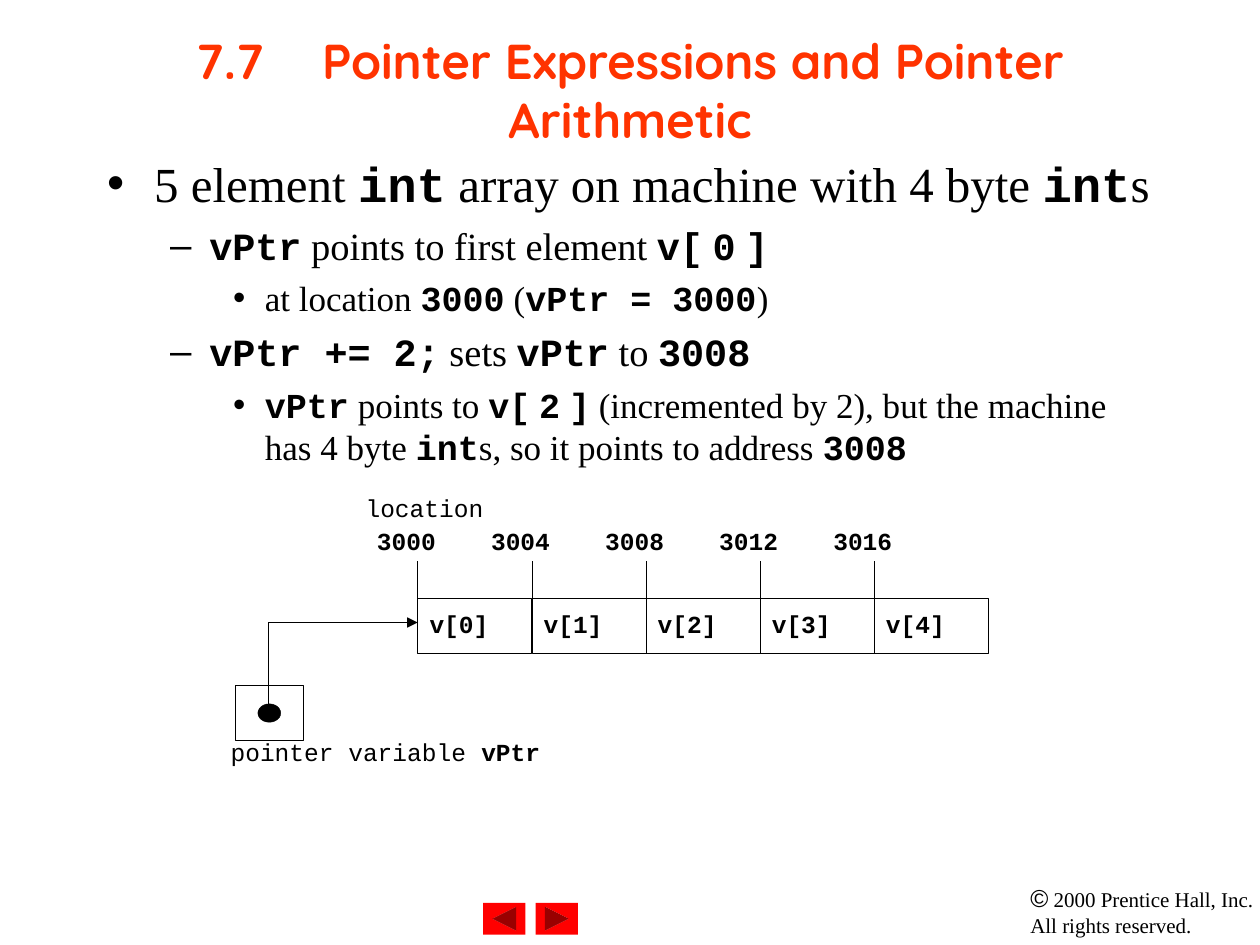
"""Build the slide on pointer expressions and pointer arithmetic."""
from lxml.etree import SubElement
from pptx import Presentation
from pptx.dml.color import RGBColor
from pptx.enum.shapes import MSO_CONNECTOR, MSO_SHAPE as SHAPE
from pptx.enum.text import MSO_ANCHOR, PP_ALIGN
from pptx.oxml.ns import qn
from pptx.util import Cm, Pt

BLACK = RGBColor(0x00, 0x00, 0x00)
RED = RGBColor(0xFF, 0x00, 0x00)
ORANGE = RGBColor(0xFF, 0x33, 0x00)
SERIF = "Times New Roman"
MONO = "Courier New"
SANS = "Arial"
HAIRLINE = Pt(0.25)


def write(paragraph, marked, size, plain_font=SERIF):
    """Add runs to a paragraph, with text between backticks as bold code."""
    for index, piece in enumerate(marked.split("`")):
        if piece:
            run = paragraph.add_run()
            run.text = piece
            run.font.size = Pt(size)
            run.font.bold = index % 2 == 1
            run.font.name = MONO if run.font.bold else plain_font
            run.font.color.rgb = BLACK


def add_label(left, top, width, marked):
    """Add a diagram label without insets."""
    frame = slide.shapes.add_textbox(Cm(left), Cm(top), Cm(width), Cm(0.8)).text_frame
    frame.margin_left = frame.margin_right = frame.margin_top = frame.margin_bottom = 0
    frame.word_wrap = True
    write(frame.paragraphs[0], marked, 14, MONO)


presentation = Presentation()
presentation.slide_width = Cm(25.4)
presentation.slide_height = Cm(19.05)
slide = presentation.slides.add_slide(presentation.slide_layouts[6])

copyright_frame = slide.shapes.add_textbox(Cm(20.52), Cm(17.68), Cm(4.88), Cm(1.37)).text_frame
copyright_frame.margin_right = 0
copyright_frame.word_wrap = True
copyright_line = copyright_frame.paragraphs[0]
write(copyright_line, "©", 14, SANS)
write(copyright_line, " 2000 Prentice Hall, Inc.", 12)
copyright_line.add_line_break()
write(copyright_line, "All rights reserved.", 12)

for left, rotation in ((9.74, 180), (10.8, 0)):
    button = slide.shapes.add_shape(
        SHAPE.ACTION_BUTTON_FORWARD_OR_NEXT, Cm(left), Cm(18.2), Cm(0.85), Cm(0.64))
    button.rotation = rotation
    button.shadow.inherit = False
    button.fill.solid()
    button.fill.fore_color.rgb = RED
    button.line.fill.background()

title_frame = slide.shapes.add_textbox(Cm(1.9), Cm(0.21), Cm(21.6), Cm(3.18)).text_frame
title_frame.word_wrap = True
title_frame.vertical_anchor = MSO_ANCHOR.MIDDLE
title = title_frame.paragraphs[0]
title.text = "7.7\tPointer Expressions and Pointer Arithmetic"
title.alignment = PP_ALIGN.CENTER
title_tabs = SubElement(title._p.get_or_add_pPr(), qn("a:tabLst"))
SubElement(title_tabs, qn("a:tab"), pos=str(Cm(2.54)), algn="l")
title_font = title.runs[0].font
title_font.name = "Quicksand"
title_font.size = Pt(28)
title_font.bold = True
title_font.color.rgb = ORANGE

LEVELS = [
    ("•", 28, 0.95, 0.95, 0),
    ("–", 22, 2.06, 0.79, 5.5),
    ("•", 20, 3.18, 0.64, 5),
]
points = [
    (0, "5 element `int` array on machine with 4 byte `int`s"),
    (1, "`vPtr` points to first element `v[` `0` `]`"),
    (2, "at location `3000` (`vPtr = 3000`)"),
    (1, "`vPtr += 2;` sets `vPtr` to `3008`"),
    (2, "`vPtr` points to `v[` `2` `]` (incremented by 2), but the machine "
        "has 4 byte `int`s, so it points to address `3008`"),
]
body_frame = slide.shapes.add_textbox(Cm(1.91), Cm(2.97), Cm(21.6), Cm(15.04)).text_frame
body_frame.word_wrap = True
for index, (level, marked) in enumerate(points):
    bullet, size, margin, hanging, space = LEVELS[level]
    point = body_frame.add_paragraph() if index else body_frame.paragraphs[0]
    point.level = level
    point.space_before = Pt(space)
    properties = point._p.get_or_add_pPr()
    properties.set("marL", str(Cm(margin)))
    properties.set("indent", str(-Cm(hanging)))
    SubElement(properties, qn("a:buFont"), typeface=SANS)
    SubElement(properties, qn("a:buChar"), char=bullet)
    write(point, marked, size)

ARRAY_LEFT, ARRAY_TOP = 8.42, 12.07
CELL_WIDTH, CELL_HEIGHT = 2.3, 1.11

add_label(7.37, 9.93, 3.1, "location")
add_label(4.65, 14.85, 8.05, "pointer variable `vPtr`")

boxes = [(4.75, 13.82, 1.37)]
for element in range(5):
    left = ARRAY_LEFT + element * CELL_WIDTH
    boxes.append((left, ARRAY_TOP, CELL_WIDTH))
    add_label(left + 0.24, 12.28, 1.8, f"`v[{element}]`")
    add_label(left - 0.82, 10.6, 1.8, f"`{3000 + 4 * element}`")
    tick = slide.shapes.add_connector(
        MSO_CONNECTOR.STRAIGHT, Cm(left), Cm(11.31), Cm(left), Cm(ARRAY_TOP))
    tick.line.color.rgb = BLACK
    tick.line.width = HAIRLINE
    SubElement(tick._element.spPr, qn("a:effectLst"))

for left, top, width in boxes:
    box = slide.shapes.add_shape(SHAPE.RECTANGLE, Cm(left), Cm(top), Cm(width), Cm(CELL_HEIGHT))
    box.shadow.inherit = False
    box.fill.background()
    box.line.color.rgb = BLACK
    box.line.width = HAIRLINE

pointer_dot = slide.shapes.add_shape(SHAPE.OVAL, Cm(5.2), Cm(14.19), Cm(0.46), Cm(0.37))
pointer_dot.shadow.inherit = False
pointer_dot.fill.solid()
pointer_dot.fill.fore_color.rgb = BLACK
pointer_dot.line.color.rgb = BLACK
pointer_dot.line.width = HAIRLINE

arrow_outline = slide.shapes.build_freeform(Cm(5.41), Cm(14.2))
arrow_outline.add_line_segments(
    [(Cm(5.41), Cm(12.55)), (Cm(ARRAY_LEFT), Cm(12.55))], close=False)
pointer_arrow = arrow_outline.convert_to_shape()
pointer_arrow.shadow.inherit = False
pointer_arrow.fill.background()
pointer_arrow.line.color.rgb = BLACK
pointer_arrow.line.width = HAIRLINE
SubElement(pointer_arrow.line._get_or_add_ln(), qn("a:tailEnd"), type="triangle")

presentation.save("out.pptx")
